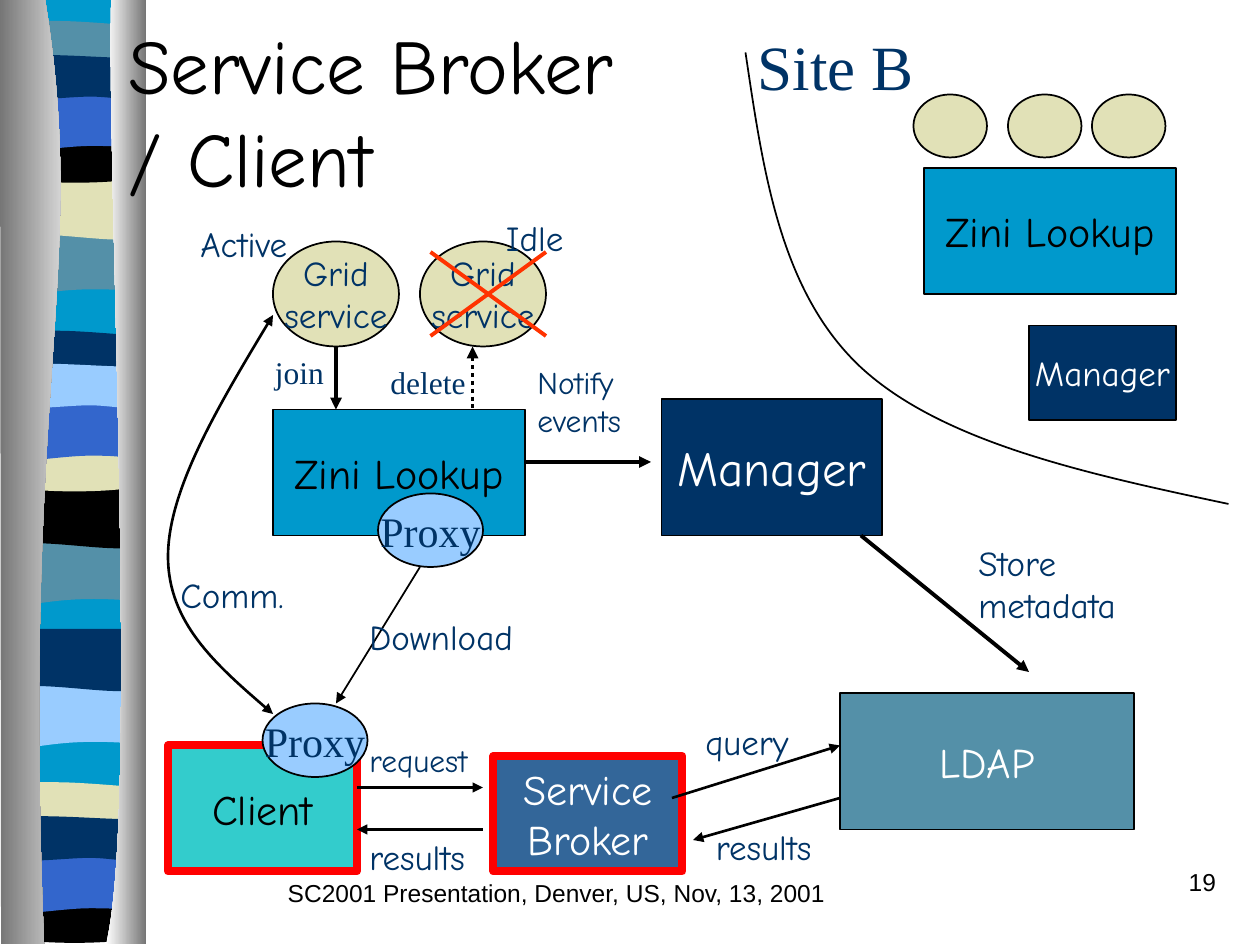
import pptx
import pptx.util
import pptx.dml.color
import pptx.enum.dml
import pptx.enum.shapes
import pptx.enum.text
import pptx.oxml
import pptx.oxml.ns

PX = 7620
COMIC, TIMES, ARIAL = "Comic Neue", "Times New Roman", "Arial"
BLACK, WHITE, NAVY, RED = "000000", "FFFFFF", "003366", "FF0000"
SAND, CYAN, STEEL, SKY, BLUE = "E1E1B7", "0099CC", "5490A8", "99CCFF", "3366CC"
ALIGN = pptx.enum.text.PP_ALIGN
ANCHOR = pptx.enum.text.MSO_ANCHOR
FIT = pptx.enum.text.MSO_AUTO_SIZE
RECT = pptx.enum.shapes.MSO_SHAPE.RECTANGLE
OVAL = pptx.enum.shapes.MSO_SHAPE.OVAL

BAND_OUTLINES = {
    "wave": [(130, 0), (130, 56), (40, 47, 22, 66, 0, 56), (0, 0)],
    "hump": [(130, 0), (130, 56), (108, 66, 40, 49, 0, 56), (0, 0)],
    "thin": [(130, 6), (130, 35), (108, 40, 22, 40, 0, 35), (0, 6),
             (7, 0, 28, 1, 49, 1), (71, 1, 113, 5, 130, 6)],
    "pool": [(130, 0), (130, 38), (108, 46, 22, 46, 0, 38), (0, 0),
             (79, 6, 102, 0, 130, 0)],
    "arch": [(130, 0), (130, 56), (110, 50, 101, 50, 79, 50),
             (58, 50, 19, 56, 0, 56), (0, 0)],
    "swell": [(130, 6), (130, 43), (122, 49, 101, 43, 79, 43),
              (58, 43, 13, 49, 0, 43), (0, 6), (18, 0, 88, 6, 109, 6),
              (131, 6, 127, 6, 130, 6)],
}
BANDS = [
    ("wave", 7, 222, STEEL), ("hump", 7, 169, SAND), ("thin", 7, 19, STEEL),
    ("pool", 7, 130, BLACK), ("arch", 7, 89, BLUE), ("swell", 7, 49, NAVY),
    ("wave", 6, 517, STEEL), ("hump", 6, 463, BLACK), ("thin", 6, 314, NAVY),
    ("pool", 6, 424, SAND), ("arch", 6, 384, BLUE), ("swell", 6, 343, SKY),
    ("wave", 7, 653, SKY), ("hump", 7, 599, NAVY), ("thin", 6, 744, SAND),
    ("pool", 6, 854, BLACK), ("arch", 6, 815, BLUE), ("swell", 6, 774, NAVY),
]
CURTAINS = [
    ([(43, 0), (85, 259, 20, 355, 42, 899), (1, 899), (0, 0)], "767676", WHITE),
    ([(106, 0), (101, 150, 133, 775, 101, 899), (139, 899), (139, 0)], WHITE, "767676"),
]
BLOCKS = [
    (RECT, (800, 660, 280, 130), STEEL, BLACK, 1, "LDAP", 24, COMIC, WHITE),
    (RECT, (160, 710, 180, 120), "33CCCC", RED, 4.5, "Client", 24, COMIC, BLACK),
    (RECT, (470, 720, 180, 110), "336699", RED, 4.5, "Service\nBroker", 24, COMIC, WHITE),
    (OVAL, (260, 230, 120, 100), SAND, BLACK, 1, "Grid\nservice", 20, COMIC, NAVY),
    (OVAL, (400, 230, 120, 100), SAND, BLACK, 1, "Grid\nservice", 20, COMIC, NAVY),
    (RECT, (260, 390, 240, 120), CYAN, BLACK, 1, "Zini Lookup", 24, COMIC, BLACK),
    (RECT, (630, 380, 210, 130), NAVY, BLACK, 1, "Manager", 28, COMIC, WHITE),
    (RECT, (880, 160, 240, 120), CYAN, BLACK, 1, "Zini Lookup", 24, COMIC, BLACK),
    (OVAL, (870, 90, 70, 60), SAND, BLACK, 1, "", 20, COMIC, NAVY),
    (OVAL, (960, 90, 70, 60), SAND, BLACK, 1, "", 20, COMIC, NAVY),
    (OVAL, (1040, 90, 70, 60), SAND, BLACK, 1, "", 20, COMIC, NAVY),
    (RECT, (980, 310, 140, 90), NAVY, BLACK, 1, "Manager", 20, COMIC, WHITE),
    (OVAL, (250, 670, 100, 70), SKY, BLACK, 1, "Proxy", 24, TIMES, NAVY),
    (OVAL, (360, 470, 100, 70), SKY, BLACK, 1, "Proxy", 24, TIMES, NAVY),
]
SITE_BORDER = [(710, 50), (727, 164, 743, 278, 820, 350), (897, 421, 1033, 451, 1170, 480)]
COMM_PATH = [(260, 680), (210, 637, 160, 593, 160, 530), (160, 467, 210, 383, 260, 300)]
LINES = [
    ((400, 540), (320, 670), BLACK, 1, "tail"),
    ((500, 440), (620, 440), BLACK, 2.25, "tail"),
    ((820, 510), (980, 640), BLACK, 2.25, "tail"),
    ((340, 750), (460, 750), BLACK, 1.5, "tail"),
    ((640, 760), (800, 710), BLACK, 1.5, "tail"),
    ((800, 760), (660, 800), BLACK, 1.5, "tail"),
    ((340, 790), (460, 790), BLACK, 1.5, "head"),
    ((320, 330), (320, 390), BLACK, 2.25, "tail"),
    ((450, 330), (450, 390), BLACK, 2.25, "head dotted"),
    ((410, 240), (520, 320), "FF3300", 2.25, ""),
    ((520, 240), (410, 320), "FF3300", 2.25, ""),
]
LABELS = [
    ("Comm.", (160, 540, 160, 53), 20, COMIC, NAVY, ALIGN.LEFT, True),
    ("Download", (340, 580, 260, 53), 20, COMIC, NAVY, ALIGN.LEFT, True),
    ("Notify events", (500, 340, 150, 89), 18, COMIC, NAVY, ALIGN.LEFT, True),
    ("Site B", (710, 20, 172, 84), 36, TIMES, NAVY, ALIGN.LEFT, False),
    ("Store metadata", (920, 510, 210, 92), 20, COMIC, NAVY, ALIGN.LEFT, True),
    ("request", (340, 700, 160, 48), 18, COMIC, NAVY, ALIGN.LEFT, True),
    ("query", (660, 680, 130, 53), 20, COMIC, NAVY, ALIGN.LEFT, True),
    ("results", (670, 780, 160, 53), 20, COMIC, NAVY, ALIGN.LEFT, True),
    ("results", (340, 790, 160, 53), 20, COMIC, NAVY, ALIGN.LEFT, True),
    ("Active", (179, 206, 107, 53), 20, COMIC, NAVY, ALIGN.LEFT, False),
    ("join", (250, 330, 90, 48), 18, TIMES, NAVY, ALIGN.LEFT, True),
    ("Idle", (470, 200, 110, 53), 20, COMIC, NAVY, ALIGN.LEFT, True),
    ("delete", (360, 340, 95, 48), 18, TIMES, NAVY, ALIGN.LEFT, False),
    ("SC2001 Presentation, Denver, US, Nov, 13, 2001", (150, 830, 760, 60),
     14, ARIAL, BLACK, ALIGN.CENTER, True),
    ("19", (920, 820, 250, 60), 14, ARIAL, BLACK, ALIGN.RIGHT, True),
]


def color(value):
    return pptx.dml.color.RGBColor.from_string(value)


def emu(lengths):
    return [length * PX for length in lengths]


def write(box, text, size, font, ink, align, wrap):
    frame = box.text_frame
    frame.word_wrap = wrap
    frame.auto_size = FIT.NONE
    para = frame.paragraphs[0]
    para.alignment = align
    for number, line in enumerate(text.split("\n")):
        if number:
            para.add_line_break()
        span = para.add_run()
        span.text = line
        span.font.size = pptx.util.Pt(size)
        span.font.name = font
        span.font.color.rgb = color(ink)


def set_line(shape, ink, width):
    shape.line.color.rgb = color(ink)
    shape.line.width = pptx.util.Pt(width)


def add_arrows(shape, ends):
    outline = shape.line._get_or_add_ln()
    for end in ("head", "tail"):
        if end in ends:
            mark = pptx.oxml.ns.qn(f"a:{end}End")
            outline.append(outline.makeelement(mark, {"type": "triangle"}))


def add_outline(page, steps, left=0, top=0, close=True):
    builder = page.shapes.build_freeform(left + steps[0][0], top + steps[0][1], scale=PX)
    for step in steps[1:]:
        pairs = zip(step[::2], step[1::2])
        builder.add_line_segments([(left + x, top + y) for x, y in pairs], close=False)
    if close:
        builder.add_line_segments([], close=True)
    shape = builder.convert_to_shape()
    shape.shadow.inherit = False
    tag = pptx.oxml.ns.qn
    segments = iter(list(shape.element.iter(tag("a:lnTo"))))
    for step in steps[1:]:
        group = [next(segments) for _ in step[::2]]
        if len(group) == 3:
            curve = group[0].makeelement(tag("a:cubicBezTo"), {})
            group[0].addprevious(curve)
            for segment in group:
                curve.append(segment[0])
                segment.getparent().remove(segment)
    return shape


def fill_plain(shape, value):
    shape.fill.solid()
    shape.fill.fore_color.rgb = color(value)
    shape.line.fill.background()


def add_ribbon(page):
    fill_plain(add_outline(page, [(137, 0), (137, 896), (7, 896), (7, 0)]), CYAN)
    for kind, left, top, value in BANDS:
        fill_plain(add_outline(page, BAND_OUTLINES[kind], left, top), value)
    for steps, start, end in CURTAINS:
        curtain = add_outline(page, steps)
        curtain.fill.gradient()
        curtain.fill.gradient_angle = 0
        for stop, position, value in zip(curtain.fill.gradient_stops, (0, 1), (start, end)):
            stop.position = position
            stop.color.rgb = color(value)
        curtain.line.fill.background()


def main():
    deck = pptx.Presentation()
    deck.slide_width, deck.slide_height = emu((1200, 900))
    page = deck.slides.add_slide(deck.slide_layouts[5])
    add_ribbon(page)

    title = page.shapes.title
    title.left, title.top, title.width, title.height = emu((110, 30, 670, 150))
    write(title, "Service Broker\n/ Client", 44, COMIC, BLACK, ALIGN.LEFT, True)
    title.text_frame.vertical_anchor = ANCHOR.MIDDLE
    title.element.getparent().append(title.element)

    for kind, place, fill, edge, width, text, size, font, ink in BLOCKS:
        block = page.shapes.add_shape(kind, *emu(place))
        block.shadow.inherit = False
        fill_plain(block, fill)
        set_line(block, edge, width)
        if text:
            write(block, text, size, font, ink, ALIGN.CENTER, False)
            block.text_frame.vertical_anchor = ANCHOR.MIDDLE

    for steps, width, ends in ((SITE_BORDER, 1, ""), (COMM_PATH, 1.5, "head tail")):
        curve = add_outline(page, steps, close=False)
        curve.fill.background()
        set_line(curve, BLACK, width)
        add_arrows(curve, ends)

    for start, end, ink, width, style in LINES:
        line = page.shapes.add_connector(
            pptx.enum.shapes.MSO_CONNECTOR.STRAIGHT, *emu(start + end))
        set_line(line, ink, width)
        if "dotted" in style:
            line.line.dash_style = pptx.enum.dml.MSO_LINE.ROUND_DOT
        add_arrows(line, style)
        line.element.spPr.append(pptx.oxml.parse_xml(
            f"<a:effectLst {pptx.oxml.ns.nsdecls('a')}/>"))

    for text, place, size, font, ink, align, wrap in LABELS:
        label = page.shapes.add_textbox(*emu(place))
        write(label, text, size, font, ink, align, wrap)

    deck.save("out.pptx")


if __name__ == "__main__":
    main()
